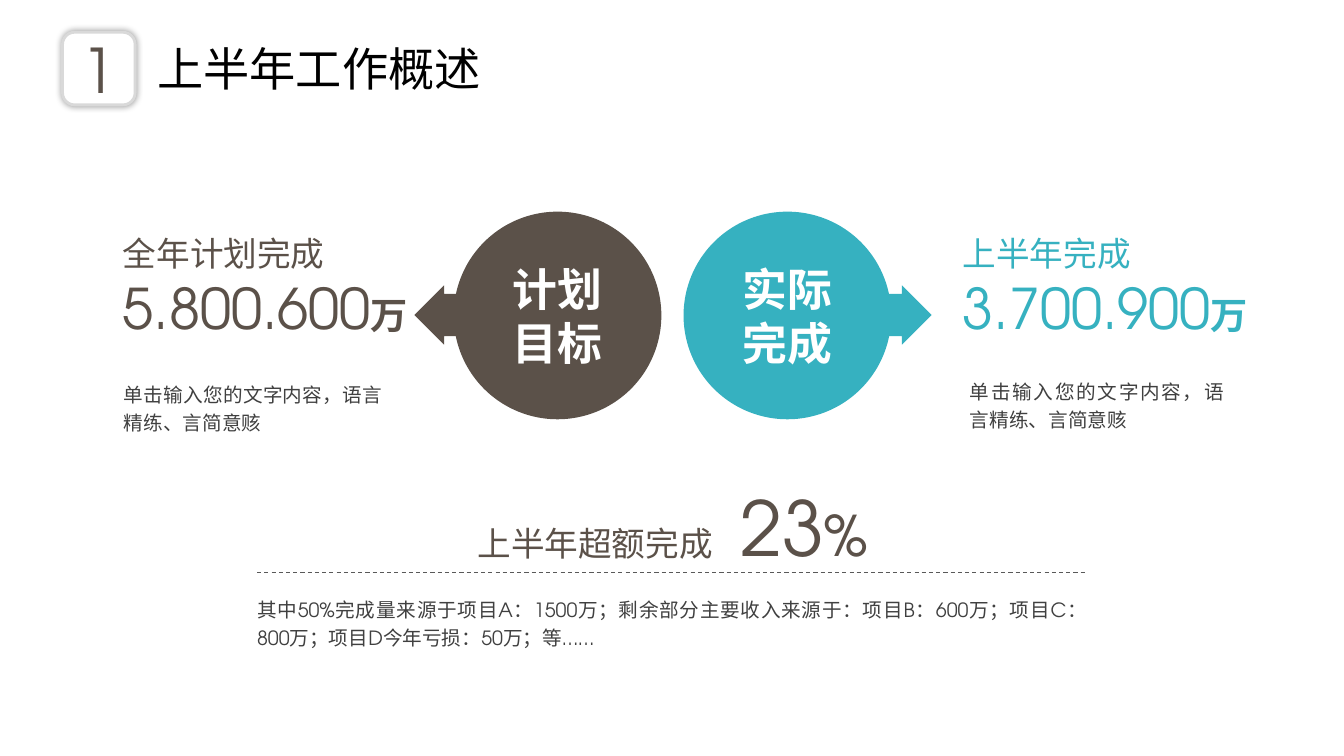
from lxml import etree
from pptx import Presentation
from pptx.dml.color import RGBColor
from pptx.enum.dml import MSO_LINE
from pptx.enum.shapes import MSO_CONNECTOR, MSO_SHAPE
from pptx.enum.text import MSO_ANCHOR, MSO_AUTO_SIZE, PP_ALIGN
from pptx.oxml import parse_xml
from pptx.oxml.ns import nsdecls, qn
from pptx.util import Inches, Pt

# Content
COLORS = {"brown": "5B5149", "teal": "36B1C0", "body": "404040", "rule": "595959",
          "border": "D9D9D9", "white": "FFFFFF", "black": "000000"}
LATIN, HAN = "TeX Gyre Adventor", "Noto Sans CJK SC"
SECTION_NUMBER, SECTION_TITLE = "1", "上半年工作概述"
DETAIL = "单击输入您的文字内容，语言精练、言简意赅"
SIDES = [
    {"color": "brown", "circle": "计划目标", "heading": "全年计划完成", "amount": "5.800.600",
     "circle_left": 4.5, "arrow_left": 4.11, "arrow": MSO_SHAPE.LEFT_ARROW,
     "figure_box": (1.12, 2.26, 3.23, 1.18), "detail_box": (1.23, 3.75, 2.56, 0.54)},
    {"color": "teal", "circle": "实际完成", "heading": "上半年完成", "amount": "3.700.900",
     "circle_left": 6.78, "arrow_left": 8.56, "arrow": MSO_SHAPE.RIGHT_ARROW,
     "figure_box": (9.45, 2.26, 3.2, 1.18), "detail_box": (9.62, 3.72, 2.52, 0.54)},
]
UNIT = "万"
RESULT = [("上半年超额完成", 24), (" ", 24), ("23", 54), ("%", 40)]
BREAKDOWN = ("其中50%完成量来源于项目A：1500万；剩余部分主要收入来源于：项目B：600万；"
             "项目C：800万；项目D今年亏损：50万；等……")

CIRCLE_TOP, CIRCLE_SIZE, LABEL_SIZE = 2.1, 2.06, 1.17
RULE_LEFT, RULE_RIGHT, RULE_TOP = 2.55, 10.78, 5.68

presentation = Presentation()
presentation.slide_width, presentation.slide_height = Inches(13.33), Inches(7.5)
slide = presentation.slides.add_slide(presentation.slide_layouts[5])


def rgb(color):
    return RGBColor.from_string(COLORS[color])


def style(run, size, color, bold=False, family=LATIN):
    run.font.size, run.font.bold, run.font.name = Pt(size), bold, family
    run.font.color.rgb = rgb(color)
    east_asian = etree.SubElement(run.font._element, qn("a:ea"))
    east_asian.set("typeface", family)


def add_run(paragraph, text, size, color, bold=False):
    run = paragraph.add_run()
    run.text = text
    style(run, size, color, bold)
    return run


def add_box(box, inset=True, anchor=MSO_ANCHOR.TOP):
    frame = slide.shapes.add_textbox(*map(Inches, box)).text_frame
    frame.word_wrap, frame.vertical_anchor = True, anchor
    if not inset:
        frame.margin_left = frame.margin_top = frame.margin_right = frame.margin_bottom = 0
    return frame


def add_detail(box, text):
    paragraph = add_box(box, inset=False).paragraphs[0]
    paragraph.alignment, paragraph.line_spacing = PP_ALIGN.JUSTIFY, Pt(20)
    add_run(paragraph, text, 14, "body")


def add_filled(preset, box, color):
    shape = slide.shapes.add_shape(preset, *map(Inches, box))
    shape.shadow.inherit = False
    shape.fill.solid()
    shape.fill.fore_color.rgb = rgb(color)
    shape.line.fill.background()
    return shape


# Title and number badge
title = slide.shapes.title
title.left, title.top, title.width, title.height = map(Inches, (1.46, 0.35, 3.44, 0.66))
title.text_frame.text = SECTION_TITLE
title.text_frame.word_wrap = False
title.text_frame.auto_size = MSO_AUTO_SIZE.NONE
title.text_frame.vertical_anchor = MSO_ANCHOR.MIDDLE
title.text_frame.paragraphs[0].alignment = PP_ALIGN.LEFT
style(title.text_frame.paragraphs[0].runs[0], 33, "black", family=HAN)

badge = add_filled(MSO_SHAPE.ROUNDED_RECTANGLE, (0.62, 0.32, 0.72, 0.72), "white")
badge.line.color.rgb, badge.line.width = rgb("border"), Pt(2)
badge_effects = badge._element.spPr.find(qn("a:effectLst"))
badge_effects.append(parse_xml(
    f'<a:outerShdw {nsdecls("a")} blurRad="{Pt(5)}" dist="0" algn="ctr" rotWithShape="0">'
    f'<a:srgbClr val="{COLORS["black"]}"><a:alpha val="40000"/></a:srgbClr></a:outerShdw>'))
badge.text_frame.vertical_anchor = MSO_ANCHOR.MIDDLE
badge_number = badge.text_frame.paragraphs[0]
badge_number.alignment = PP_ALIGN.CENTER
add_run(badge_number, SECTION_NUMBER, 44, "brown")

# Plan and actual: figure, circle with arrow, detail
for side in SIDES:
    color = side["color"]
    figure = add_box(side["figure_box"]).paragraphs[0]
    add_run(figure, side["heading"], 24, color)
    figure.add_line_break()
    add_run(figure, side["amount"], 40, color)
    add_run(figure, UNIT, 26.6, color, bold=True)

    add_filled(MSO_SHAPE.OVAL, (side["circle_left"], CIRCLE_TOP, CIRCLE_SIZE, CIRCLE_SIZE), color)
    arrow = add_filled(side["arrow"], (side["arrow_left"], 2.83, 0.68, 0.59), color)
    arrow.adjustments[0], arrow.adjustments[1] = 0.71, 0.5

    margin = (CIRCLE_SIZE - LABEL_SIZE) / 2
    label_box = (side["circle_left"] + margin, CIRCLE_TOP + margin, LABEL_SIZE, LABEL_SIZE)
    label = add_box(label_box, inset=False, anchor=MSO_ANCHOR.MIDDLE).paragraphs[0]
    label.alignment = PP_ALIGN.CENTER
    add_run(label, side["circle"], 32, "white", bold=True)

    add_detail(side["detail_box"], DETAIL)

# Result, dashed rule and breakdown
result = add_box((3.46, 4.72, 6.42, 1.01)).paragraphs[0]
result.alignment = PP_ALIGN.CENTER
for text, size in RESULT:
    result_run = add_run(result, text, size, "brown")
    if text == " ":
        result_run.font._element.set("spc", "1300")  # widens the gap before the figure

rule = slide.shapes.add_connector(MSO_CONNECTOR.STRAIGHT, Inches(RULE_LEFT), Inches(RULE_TOP),
                                  Inches(RULE_RIGHT), Inches(RULE_TOP))
rule.line.color.rgb, rule.line.width = rgb("rule"), Pt(0.75)
rule.line.dash_style = MSO_LINE.DASH
etree.SubElement(rule._element.spPr, qn("a:effectLst"))

add_detail((RULE_LEFT, 5.89, RULE_RIGHT - RULE_LEFT, 0.54), BREAKDOWN)

presentation.save("out.pptx")
